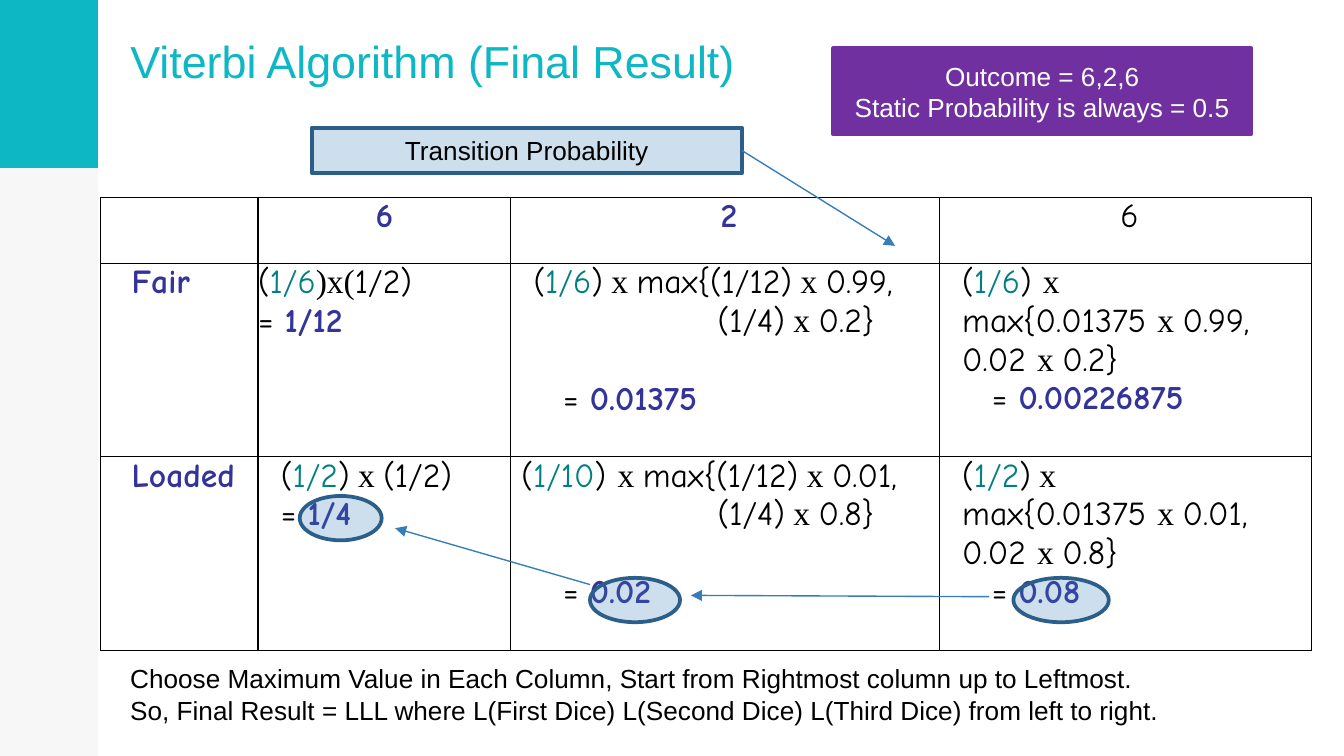
import pptx
import pptx.dml.color
import pptx.enum.shapes
import pptx.enum.text
import pptx.oxml
import pptx.oxml.ns
import pptx.util

RGBColor = pptx.dml.color.RGBColor
TEAL = RGBColor(0x0D, 0xB7, 0xC4)
PURPLE = RGBColor(0x70, 0x30, 0xA0)
INDIGO = RGBColor(0x33, 0x33, 0x9A)
GREEN = RGBColor(0x00, 0x80, 0x80)
STEEL = RGBColor(0x3A, 0x81, 0xBA)
NAVY = RGBColor(0x2B, 0x5F, 0x8A)
ARROW_BLUE = RGBColor(0x36, 0x7E, 0xB9)
BLACK = RGBColor(0, 0, 0)
WHITE = RGBColor(0xFF, 0xFF, 0xFF)

RECTANGLE = pptx.enum.shapes.MSO_SHAPE.RECTANGLE
OVAL = pptx.enum.shapes.MSO_SHAPE.OVAL
LEFT = pptx.enum.text.PP_ALIGN.LEFT
CENTER = pptx.enum.text.PP_ALIGN.CENTER
ANCHOR = pptx.enum.text.MSO_ANCHOR
NAMESPACE = pptx.oxml.ns.nsdecls("a")

presentation = pptx.Presentation()
presentation.slide_width = pptx.util.Inches(10)
presentation.slide_height = pptx.util.Inches(5.625)
slide = presentation.slides.add_slide(presentation.slide_layouts[5])


def grid(*shares):
    sizes = (presentation.slide_width, presentation.slide_height)
    return [pptx.util.Emu(round(share * sizes[index % 2] / 100))
            for index, share in enumerate(shares)]


def write_text(text_frame, paragraphs, font="Arial", size=14, color=BLACK, align=LEFT):
    for index, (runs, indent, hanging, space_before) in enumerate(paragraphs):
        paragraph = text_frame.add_paragraph() if index else text_frame.paragraphs[0]
        paragraph.alignment = align
        paragraph.space_before = pptx.util.Pt(space_before)
        properties = paragraph._p.get_or_add_pPr()
        properties.set("marL", str(grid(indent)[0]))
        properties.set("indent", str(-grid(hanging)[0]))
        for text, style in runs:
            run = paragraph.add_run()
            run.text = text
            run.font.name = style.get("font", font)
            run.font.size = pptx.util.Pt(size)
            run.font.bold = style.get("bold", False)
            run.font.color.rgb = style.get("color", color)


PLAIN = {}
EMISSION = {"color": GREEN}
TIMES = {"font": "Times New Roman"}
RESULT = {"color": INDIGO, "bold": True}

title = slide.shapes.title
title.left, title.top, title.width, title.height = grid(8.7, 3.02, 75.7, 10.31)
title.text_frame.vertical_anchor = ANCHOR.BOTTOM
title.text_frame.margin_top = title.text_frame.margin_bottom = pptx.util.Inches(0.1)
write_text(title.text_frame, [([("Viterbi Algorithm (Final Result)", PLAIN)], 0, 0, 0)],
           size=24, color=TEAL)

column_shares = [11.7, 18.8, 31.9, 27.7]
row_shares = [8.71, 25.6, 25.6]
table = slide.shapes.add_table(
    3, 4, *grid(7.5, 26.13, sum(column_shares), sum(row_shares))).table
table.first_row = table.horz_banding = False
for column, share in zip(table.columns, column_shares):
    column.width = grid(share)[0]
for row, share in zip(table.rows, row_shares):
    row.height = grid(0, share)[1]

header = [("", PLAIN, 0), ("6", RESULT, 0), ("2", RESULT, 0.6), ("6", PLAIN, 0.6)]
contents = [[[([(text, style)], indent, 0, 0)] for text, style, indent in header]]

states = [
    ("Fair", [("(", PLAIN), ("1/6", EMISSION), (")x(", TIMES), ("1/2)", PLAIN)], 0,
     "1/6", [(") ", PLAIN), ("x", TIMES)], [(")", PLAIN), (" x ", TIMES)], 1.7, "1/6",
     "0.99", "0.2", ["1/12", "0.01375", "0.00226875"]),
    ("Loaded", [("(", PLAIN), ("1/2", EMISSION), (")", PLAIN), (" x ", TIMES),
                ("(1/2)", PLAIN)], 1.7,
     "1/10", [(")", PLAIN), (" x", TIMES)], [(") ", PLAIN), ("x ", TIMES)], 0.8, "1/2",
     "0.01", "0.8", ["1/4", "0.02", "0.08"]),
]
for (name, product, product_indent, second, third_times, second_times, second_indent,
     third, from_fair, from_loaded, results) in states:
    first_result, second_result, third_result = [
        [("= ", PLAIN), (result, RESULT)] for result in results]
    contents.append([
        [([(name, RESULT)], 2.3, 0, 0)],
        [(product, product_indent, 0, 0), (first_result, product_indent, 0, 0)],
        [([("(", PLAIN), (second, EMISSION), *second_times, ("max{(1/12)", PLAIN),
           (" x ", TIMES), (from_fair + ",", PLAIN)], second_indent, 0, 0),
         ([("(1/4)", PLAIN), (" x ", TIMES), (from_loaded + "}", PLAIN)], 15.4, 0, 0),
         (second_result, 3.9, 0, 21)],
        [([("(", PLAIN), (third, EMISSION), *third_times], 1.7, 0, 0),
         ([("max{0.01375 ", PLAIN), ("x ", TIMES), (from_fair + ", 0.02 ", PLAIN),
           ("x ", TIMES), (from_loaded + "}", PLAIN)], 1.7, 0, 0),
         (third_result, 3.9, 0, 0)],
    ])

for row_index, row_contents in enumerate(contents):
    for column_index, paragraphs in enumerate(row_contents):
        cell = table.cell(row_index, column_index)
        cell.margin_left = cell.margin_top = cell.margin_bottom = 0
        cell.margin_right = grid(1.5 if row_index else 0)[0]
        write_text(cell.text_frame, paragraphs, font="Comic Neue", size=18,
                   align=LEFT if row_index else CENTER)
        properties = cell._tc.get_or_add_tcPr()
        for side in ("lnL", "lnR", "lnT", "lnB"):
            properties.append(pptx.oxml.parse_xml(
                f'<a:{side} {NAMESPACE} w="9525"><a:solidFill>'
                f'<a:srgbClr val="{BLACK}"/></a:solidFill></a:{side}>'))
        cell.fill.background()

boxes = [
    (RECTANGLE, (0, 0, 7.3, 100), BLACK, 3, None, WHITE, []),
    (RECTANGLE, (0, 0, 7.3, 22.22), TEAL, 100, None, WHITE, []),
    (RECTANGLE, (62, 6.4, 31.1, 11.38), PURPLE, 100, PURPLE, WHITE,
     ["Outcome = 6,2,6", "Static Probability is always = 0.5"]),
    (RECTANGLE, (23.2, 16.89, 32, 6.04), STEEL, 25, NAVY, BLACK,
     ["Transition Probability"]),
    (OVAL, (75.4, 76.44, 7.1, 5.87), STEEL, 25, NAVY, BLACK, []),
    (OVAL, (43.9, 76.44, 6.7, 5.87), STEEL, 25, NAVY, BLACK, []),
    (OVAL, (22.3, 65.6, 6.1, 5.87), STEEL, 25, NAVY, BLACK, []),
]
for kind, place, fill, opacity, outline, text_color, lines in boxes:
    shape = slide.shapes.add_shape(kind, *grid(*place))
    shape.shadow.inherit = False
    shape.fill.solid()
    shape.fill.fore_color.rgb = fill
    if opacity < 100:
        color_element = shape._element.spPr.find(".//" + pptx.oxml.ns.qn("a:srgbClr"))
        color_element.append(pptx.oxml.parse_xml(
            f'<a:alpha {NAMESPACE} val="{opacity * 1000}"/>'))
    if outline is None:
        shape.line.fill.background()
    else:
        shape.line.color.rgb = outline
        shape.line.width = pptx.util.Pt(2)
    shape.text_frame.vertical_anchor = ANCHOR.MIDDLE
    write_text(shape.text_frame, [([(line, PLAIN)], 0, 0, 0) for line in lines],
               color=text_color, align=CENTER)

arrows = [(55.2, 19.91, 66.6, 32.53), (73.6, 78.93, 51.4, 78.76), (43.9, 77.33, 29.4, 69.87)]
for ends in arrows:
    arrow = slide.shapes.add_connector(
        pptx.enum.shapes.MSO_CONNECTOR.STRAIGHT, *grid(*ends))
    arrow.line.color.rgb = ARROW_BLUE
    arrow.line.width = pptx.util.Pt(0.75)
    arrow.line._get_or_add_ln().append(
        pptx.oxml.parse_xml(f'<a:tailEnd {NAMESPACE} type="triangle"/>'))
    arrow._element.spPr.append(pptx.oxml.parse_xml(f'<a:effectLst {NAMESPACE}/>'))

conclusion = slide.shapes.add_textbox(*grid(8.7, 86.76, 86.8, 10.13))
conclusion.text_frame.word_wrap = True
conclusion_lines = [
    "Choose Maximum Value in Each Column, Start from Rightmost column up to Leftmost.",
    "So, Final Result = LLL where L(First Dice) L(Second Dice) L(Third Dice) from left to right.",
]
write_text(conclusion.text_frame,
           [([(line, PLAIN)], 3.1, 3.1, 0) for line in conclusion_lines])

presentation.save("out.pptx")
